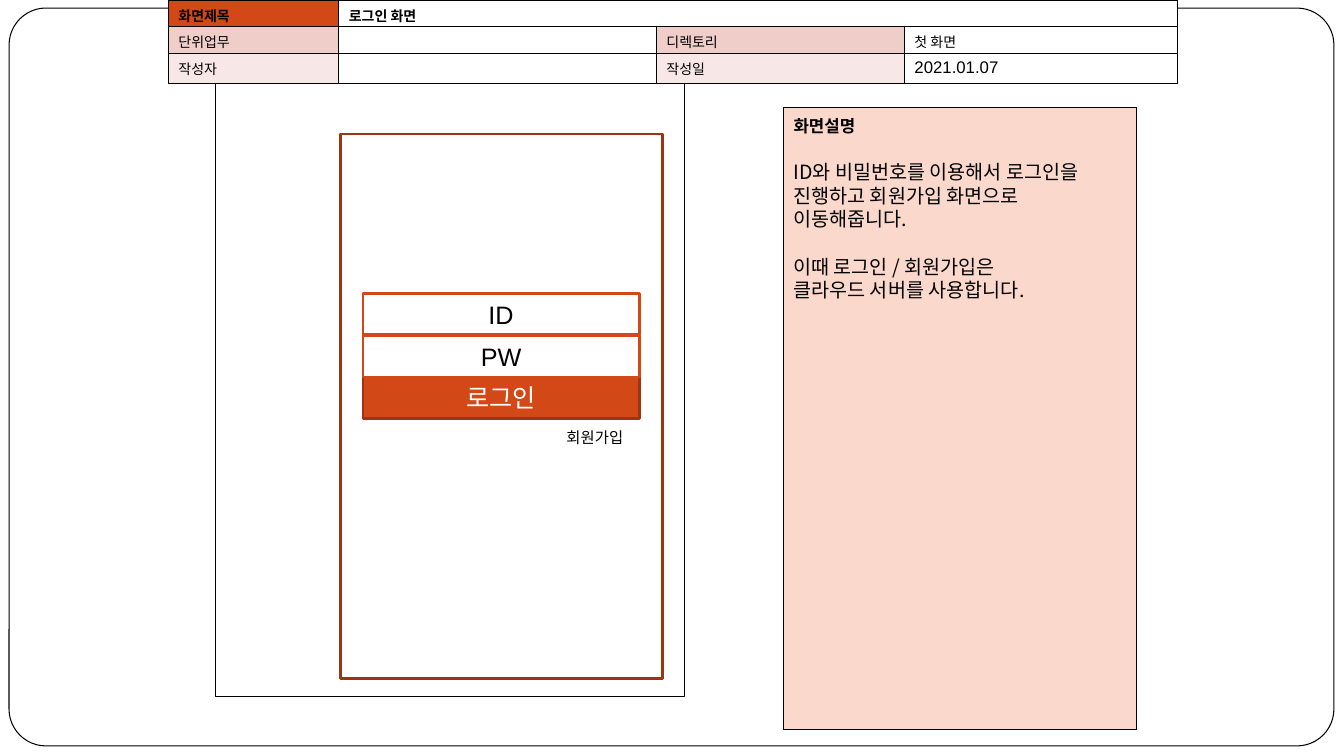
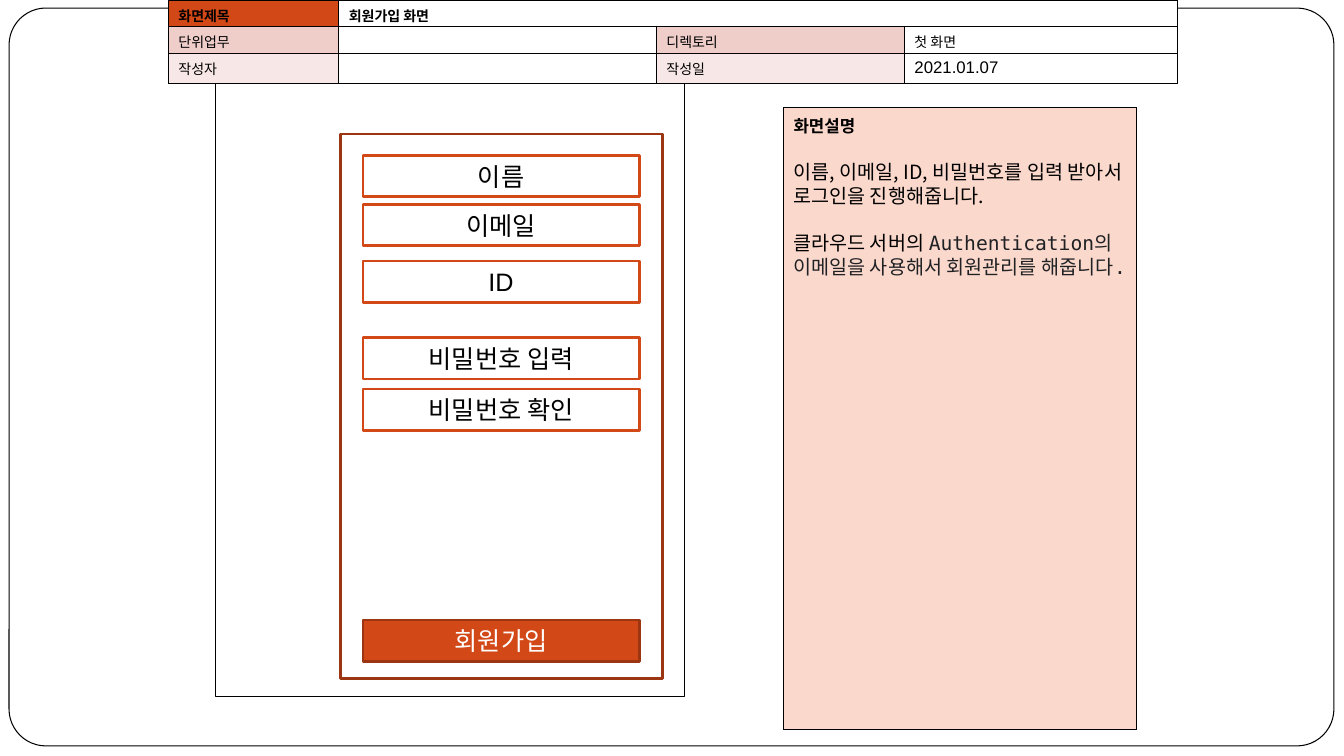
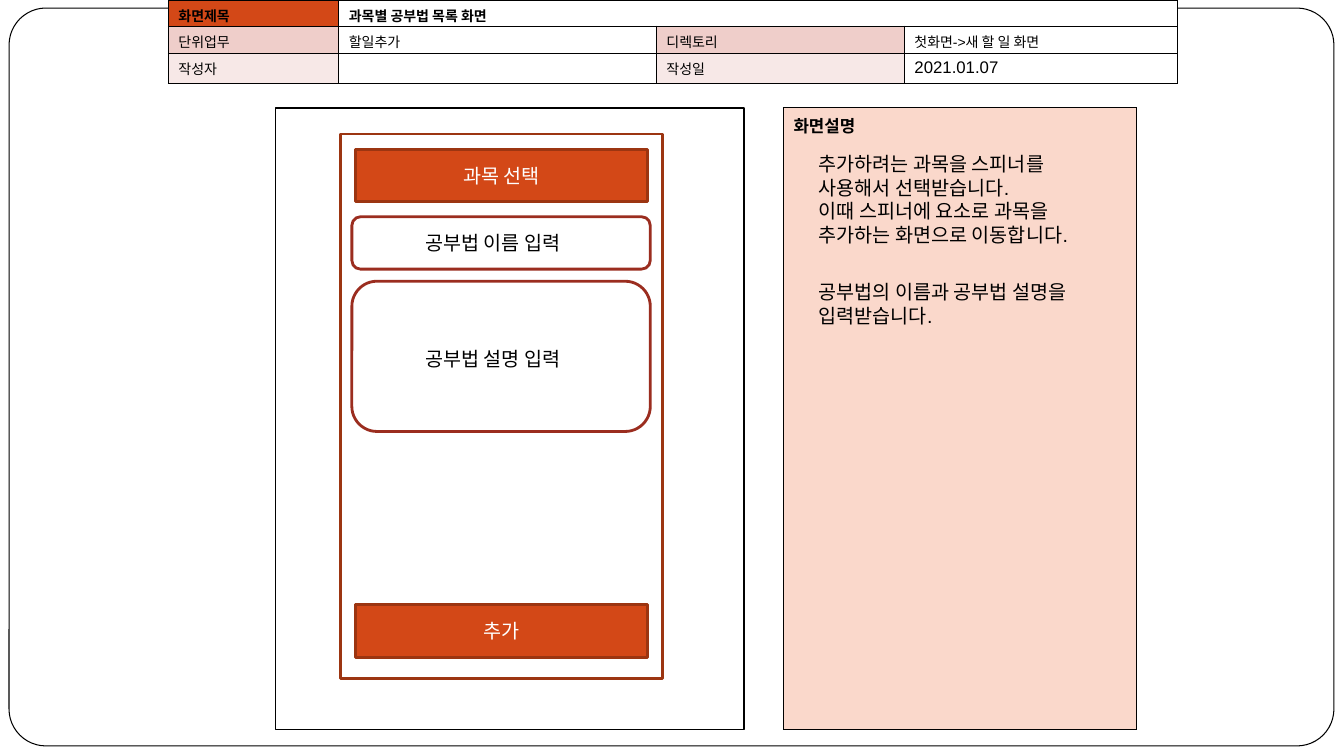
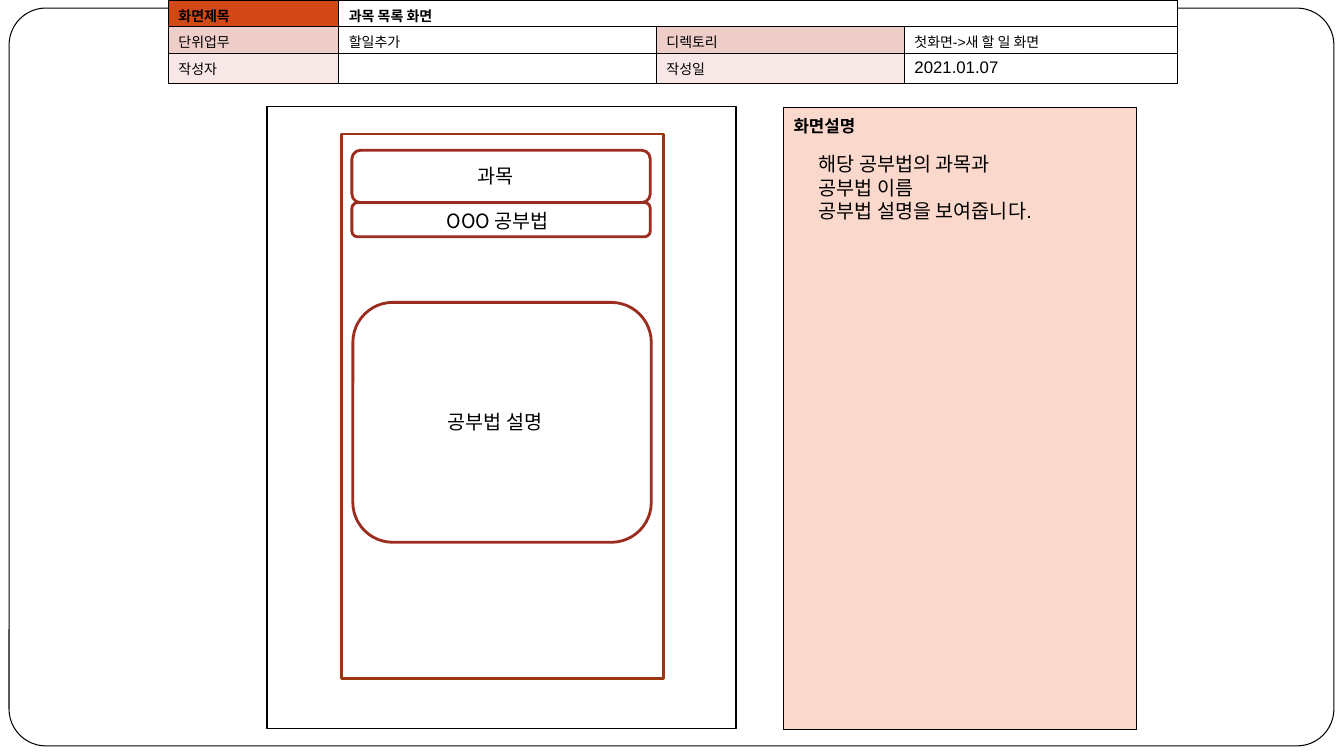
"""Build four storyboard slides for a study app: login, sign-up, add method, view method."""
from lxml import etree
from pptx import Presentation
from pptx.dml.color import RGBColor
from pptx.enum.shapes import MSO_SHAPE
from pptx.enum.text import MSO_ANCHOR, PP_ALIGN
from pptx.oxml.ns import qn
from pptx.util import Inches, Pt

RECT, ROUND = MSO_SHAPE.RECTANGLE, MSO_SHAPE.ROUNDED_RECTANGLE
CENTER, MIDDLE = PP_ALIGN.CENTER, MSO_ANCHOR.MIDDLE

BLACK = RGBColor(0x00, 0x00, 0x00)
WHITE = RGBColor(0xFF, 0xFF, 0xFF)
ORANGE = RGBColor(0xD3, 0x48, 0x17)
RUST = RGBColor(0x9C, 0x35, 0x11)
RED = RGBColor(0x9B, 0x2D, 0x1F)
ROSE = RGBColor(0xEF, 0xCE, 0xCA)
BLUSH = RGBColor(0xF7, 0xE8, 0xE7)
PEACH = RGBColor(0xFA, 0xD8, 0xCB)
CHARCOAL = RGBColor(0x20, 0x21, 0x24)
ARIAL, NOTO, MONO = "Arial", "Noto Sans CJK KR", "DejaVu Sans Mono"
BLANK_LINE = 17

COLUMNS = [1.69, 3.15, 2.46, 2.71]
ROWS = [0.26, 0.27, 0.3]
HEADER_FILLS = [[ORANGE, WHITE, WHITE, WHITE], [ROSE, WHITE] * 2, [BLUSH, WHITE] * 2]
FIELD = (ORANGE, WHITE, BLACK)
BUTTON = (RUST, ORANGE, WHITE)

SCREENS = [
    {
        "title": "로그인 화면", "task": "", "directory": "첫 화면",
        "panel": (2.14, 0.74), "phone": 3.38,
        "notes": [((7.77, 1.54, 3.4, 1.51), NOTO, [
            (0, "ID와 비밀번호를 이용해서 로그인을"),
            (0, "진행하고 회원가입 화면으로 이동해줍니다."),
            (BLANK_LINE, "이때 로그인 / 회원가입은"),
            (0, "클라우드 서버를 사용합니다."),
        ])],
        "controls": [
            ((3.6, 3.74, 2.74, 0.41), "로그인", BUTTON, 18, ARIAL),
            ((3.6, 2.91, 2.74, 0.41), "ID", FIELD, 18, ARIAL),
            ((3.6, 3.33, 2.74, 0.41), "PW", FIELD, 18, ARIAL),
        ],
        "outlines": [],
        "labels": [((5.52, 4.2, 0.83, 0.29), "회원가입", 11, ARIAL)],
    },
    {
        "title": "회원가입 화면", "task": "", "directory": "첫 화면",
        "panel": (2.14, 0.74), "phone": 3.38,
        "notes": [((7.77, 1.54, 3.59, 1.75), NOTO, [
            (0, "이름, 이메일, ID, 비밀번호를 입력 받아서 로그인을 진행해줍니다."),
            (BLANK_LINE, "클라우드 서버의",
             " Authentication의 이메일을 사용해서 회원관리를 해줍니다."),
        ])],
        "controls": [
            ((3.6, 6.15, 2.74, 0.41), "회원가입", BUTTON, 18, ARIAL),
            ((3.6, 1.54, 2.74, 0.41), "이름", FIELD, 18, ARIAL),
            ((3.6, 2.03, 2.74, 0.41), "이메일", FIELD, 18, ARIAL),
            ((3.6, 2.59, 2.74, 0.41), "ID", FIELD, 18, ARIAL),
            ((3.6, 3.35, 2.74, 0.41), "비밀번호 입력", FIELD, 18, ARIAL),
            ((3.6, 3.86, 2.74, 0.41), "비밀번호 확인", FIELD, 18, ARIAL),
        ],
        "outlines": [],
        "labels": [],
    },
    {
        "title": "과목별 공부법 목록 화면", "task": "할일추가", "directory": "첫화면->새 할 일 화면",
        "panel": (2.73, 1.07), "phone": 3.38,
        "notes": [
            ((8.02, 1.46, 3.09, 1.04), ARIAL, [
                (0, "추가하려는 과목을 스피너를 사용해서 선택받습니다."),
                (0, "이때 스피너에 요소로 과목을 추가하는 화면으로 이동합니다."),
            ]),
            ((8.02, 2.73, 3.09, 0.57), ARIAL, [
                (0, "공부법의 이름과 공부법 설명을 입력받습니다."),
            ]),
        ],
        "controls": [
            ((3.53, 6, 2.89, 0.52), "추가", BUTTON, 14, NOTO),
            ((3.53, 1.48, 2.89, 0.52), "과목 선택", BUTTON, 14, NOTO),
        ],
        "outlines": [(3.49, 2.15, 2.96, 0.52), (3.49, 2.79, 2.96, 1.49)],
        "labels": [
            ((4.12, 2.24, 1.71, 0.34), "공부법 이름 입력", 14, NOTO),
            ((4.12, 3.39, 1.71, 0.34), "공부법 설명 입력", 14, NOTO),
        ],
    },
    {
        "title": "과목 목록 화면", "task": "할일추가", "directory": "첫화면->새 할 일 화면",
        "panel": (2.65, 1.06), "phone": 3.39,
        "notes": [((8.02, 1.46, 3.09, 0.81), ARIAL, [
            (0, "해당 공부법의 과목과"),
            (0, "공부법 이름"),
            (0, "공부법 설명을 보여줍니다."),
        ])],
        "controls": [],
        "outlines": [(3.49, 1.49, 2.96, 0.52), (3.49, 2.01, 2.96, 0.34), (3.5, 3, 2.96, 2.38)],
        "labels": [
            ((4.64, 1.58, 0.66, 0.34), "과목", 14, NOTO),
            ((4.33, 2.02, 1.3, 0.34), "OOO 공부법", 14, NOTO),
            ((4.34, 4.02, 1.3, 0.34), "공부법 설명", 14, NOTO),
        ],
    },
]


def add_box(s, kind, box, line, width, fill=WHITE):
    sp = s.shapes.add_shape(kind, *map(Inches, box))
    sp.shadow.inherit = False
    sp.fill.solid()
    sp.fill.fore_color.rgb = fill
    sp.line.color.rgb = line
    sp.line.width = Pt(width)
    return sp


def write(p, text, size, font=ARIAL, color=BLACK, bold=False):
    p.font.size = Pt(size)
    p.font.name = font
    p.font.color.rgb = color
    p.font.bold = bold
    if text:
        p.add_run().text = text


prs = Presentation()
prs.slide_width, prs.slide_height = Inches(13.33), Inches(7.5)
layout = prs.slide_layouts[6]

for number, screen in enumerate(SCREENS):
    s = prs.slides.add_slide(layout)
    if number == 0:
        frame = add_box(s, ROUND, (0.09, 0.08, 13.14, 7.32), BLACK, 0.75)
        frame.adjustments[0] = 0.05
        layout.shapes.element.append(frame.element)

    add_box(s, RECT, (*screen["panel"], 4.65, 6.17), BLACK, 1)

    header = s.shapes.add_table(3, 4, Inches(1.67), 0, Inches(sum(COLUMNS)), Inches(sum(ROWS))).table
    for column, width in zip(header.columns, COLUMNS):
        column.width = Inches(width)
    for row, height in zip(header.rows, ROWS):
        row.height = Inches(height)
    header.cell(0, 1).merge(header.cell(0, 3))
    notes = s.shapes.add_table(1, 1, Inches(7.77), Inches(1.07), Inches(3.5), Inches(6.17)).table

    header_text = [
        ["화면제목", screen["title"], "", ""],
        ["단위업무", screen["task"], "디렉토리", screen["directory"]],
        ["작성자", "", "작성일", "2021.01.07"],
    ]
    cells = [(notes.cell(0, 0), "화면설명", PEACH, 12, True)]
    for i, (texts, fills) in enumerate(zip(header_text, HEADER_FILLS)):
        for j, (text, fill) in enumerate(zip(texts, fills)):
            size = 12 if (i, j) == (2, 3) else 10
            cells.append((header.cell(i, j), text, fill, size, i == 0))
    for cell, text, fill, size, bold in cells:
        write(cell.text_frame.paragraphs[0], text, size, bold=bold)
        cell.margin_bottom = 0
        tc_pr = cell._tc.get_or_add_tcPr()
        for side in ("a:lnL", "a:lnR", "a:lnT", "a:lnB"):
            ln = etree.SubElement(tc_pr, qn(side), w=str(Pt(1)))
            solid = etree.SubElement(ln, qn("a:solidFill"))
            etree.SubElement(solid, qn("a:srgbClr"), val=str(BLACK))
        cell.fill.solid()
        cell.fill.fore_color.rgb = fill

    add_box(s, RECT, (screen["phone"], 1.33, 3.19, 5.4), RUST, 2)

    for box, font, paragraphs in screen["notes"]:
        tf = s.shapes.add_textbox(*map(Inches, box)).text_frame
        tf.word_wrap = True
        for i, (space, text, *code) in enumerate(paragraphs):
            p = tf.add_paragraph() if i else tf.paragraphs[0]
            p.space_before = Pt(space)
            write(p, text, 14, font)
            for part in code:
                r = p.add_run()
                r.text = part
                r.font.name = MONO
                r.font.color.rgb = CHARCOAL

    for box, text, (line, fill, color), size, font in screen["controls"]:
        tf = add_box(s, RECT, box, line, 2, fill).text_frame
        tf.vertical_anchor = MIDDLE
        p = tf.paragraphs[0]
        p.alignment = CENTER
        write(p, text, size, font, color)

    for box in screen["outlines"]:
        add_box(s, ROUND, box, RED, 2)

    for box, text, size, font in screen["labels"]:
        tf = s.shapes.add_textbox(*map(Inches, box)).text_frame
        tf.word_wrap = True
        write(tf.paragraphs[0], text, size, font)

prs.save("out.pptx")
